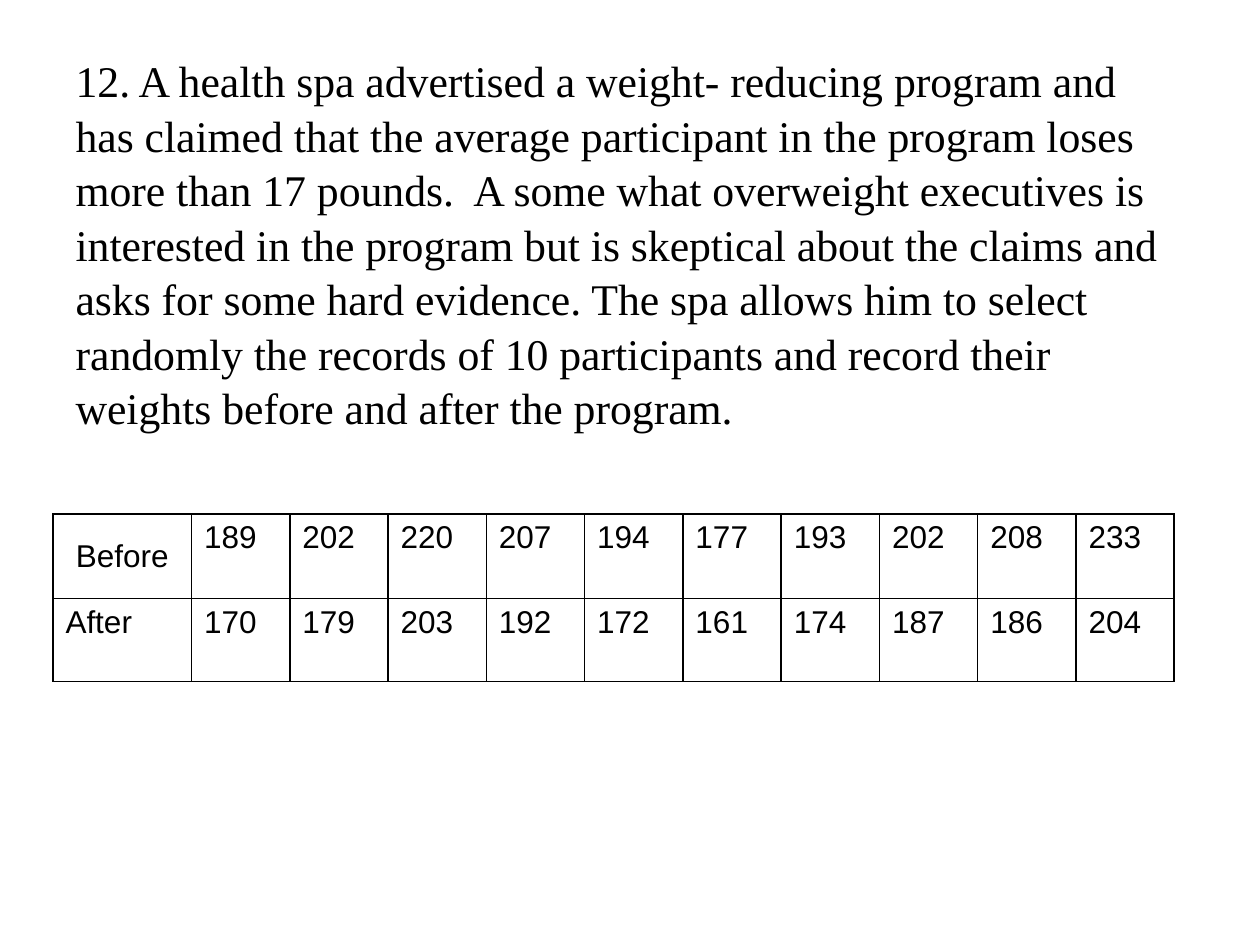
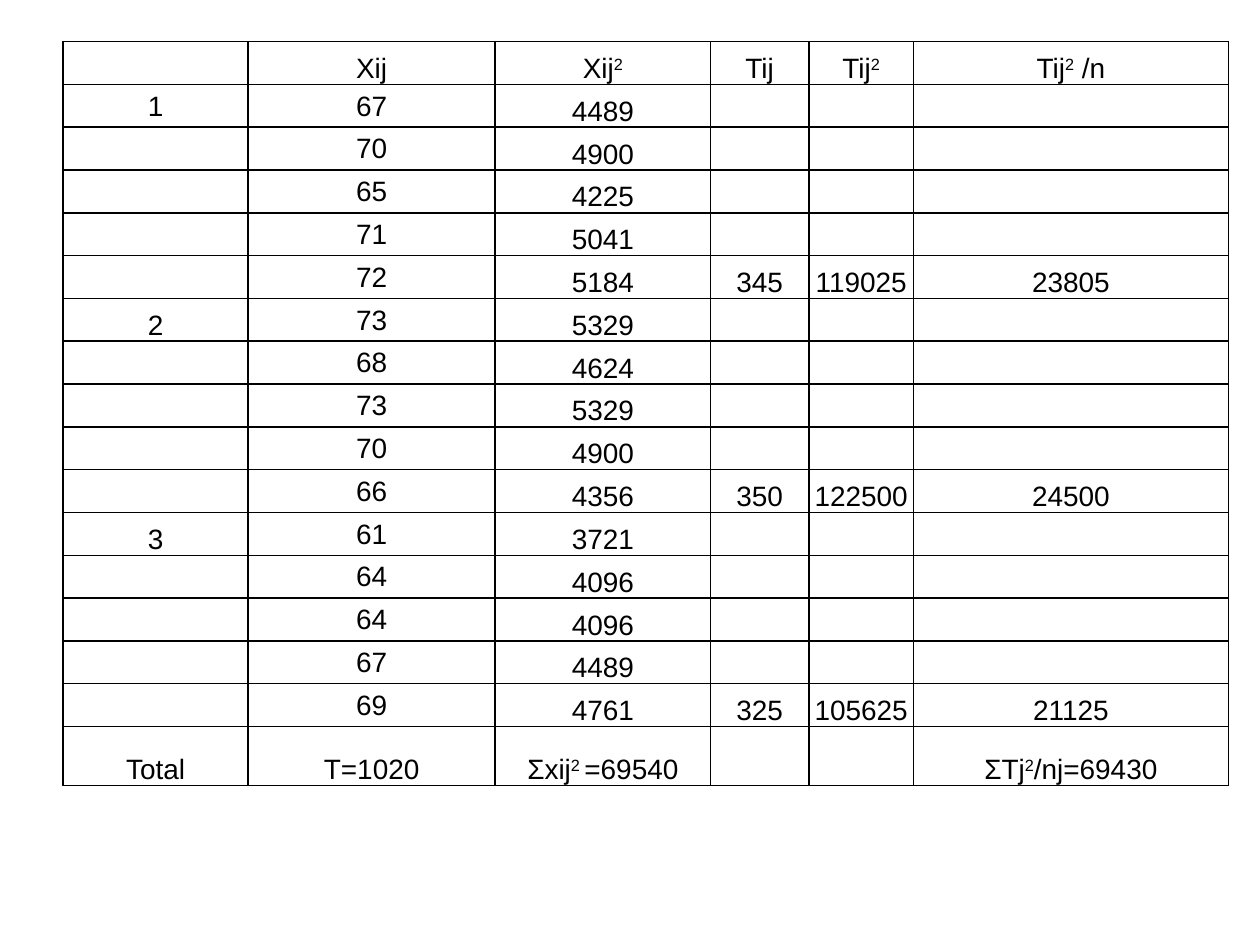
import pptx
import pptx.dml.color
import pptx.enum.text
import pptx.util
from lxml import etree
from pptx.oxml.ns import qn

Inches = pptx.util.Inches
Pt = pptx.util.Pt
ANCHOR = pptx.enum.text.MSO_ANCHOR
ALIGN = pptx.enum.text.PP_ALIGN

# Shared look
BLACK = "000000"
TABLE_FONT = "Arial"
BODY_FONT = "Times New Roman"
BORDER_WIDTH = 1

QUESTION = (
    "12. A health spa advertised a weight- reducing program and has claimed "
    "that the average participant in the program loses more than 17 pounds.  "
    "A some what overweight executives is interested in the program but is "
    "skeptical about the claims and asks for some hard evidence. The spa "
    "allows him to select randomly the records of 10 participants and record "
    "their weights before and after the program."
)
WEIGHTS = [
    ["Before", 189, 202, 220, 207, 194, 177, 193, 202, 208, 233],
    ["After", 170, 179, 203, 192, 172, 161, 174, 187, 186, 204],
]
SAMPLES = [
    [67, 70, 65, 71, 72],
    [73, 68, 73, 70, 66],
    [61, 64, 64, 67, 69],
]


def color(value):
    return pptx.dml.color.RGBColor.from_string(value)


def style_font(font, name, size):
    font.name = name
    font.size = Pt(size)
    font.color.rgb = color(BLACK)


def add_spans(para, text, name, size):
    """Add text run by run; parts between ^ marks are raised."""
    for index, part in enumerate(text.split("^")):
        if not part:
            continue
        span = para.add_run()
        span.text = part
        style_font(span.font, name, size)
        if index % 2:
            span.font._element.set("baseline", "30000")


def add_borders(cell):
    properties = cell._tc.get_or_add_tcPr()
    for index, side in enumerate(("lnL", "lnR", "lnT", "lnB")):
        line = etree.Element(qn(f"a:{side}"), w=str(Pt(BORDER_WIDTH)))
        fill = etree.SubElement(line, qn("a:solidFill"))
        etree.SubElement(fill, qn("a:srgbClr"), val=BLACK)
        properties.insert(index, line)


def add_grid(page, left, top, widths, heights, rows, size, margins, place):
    """Draw a bordered table; place(row, column) gives anchor and alignment."""
    frame = page.shapes.add_table(
        len(heights), len(widths), Inches(left), Inches(top),
        Inches(sum(widths)), Inches(sum(heights)))
    table = frame.table
    table.first_row = table.horz_banding = False
    for column, width in zip(table.columns, widths):
        column.width = Inches(width)
    for line, height in zip(table.rows, heights):
        line.height = Inches(height)
    for row, values in enumerate(rows):
        for column, value in enumerate(values):
            cell = table.cell(row, column)
            cell.fill.background()
            add_borders(cell)
            (cell.margin_left, cell.margin_top,
             cell.margin_right, cell.margin_bottom) = map(Inches, margins)
            para = cell.text_frame.paragraphs[0]
            cell.vertical_anchor, para.alignment = place(row, column)
            style_font(para.font, TABLE_FONT, size)
            add_spans(para, str(value), TABLE_FONT, size)


def add_body(page, text, left, top, width, height):
    page.shapes.title._element.getparent().remove(page.shapes.title._element)
    box = page.placeholders[1]
    box.left, box.top = Inches(left), Inches(top)
    box.width, box.height = Inches(width), Inches(height)
    box.text_frame.margin_top = Inches(0.08)
    para = box.text_frame.paragraphs[0]
    properties = para._p.get_or_add_pPr()
    properties.set("marL", "0")
    properties.set("indent", "0")
    etree.SubElement(properties, qn("a:buNone"))
    para.space_before = Pt(0)
    para.line_spacing = 1.04
    add_spans(para, text, BODY_FONT, 25)


def variance_rows():
    """Squares for every value, and totals on the last line of each sample."""
    rows = [["", "Xij", "Xij^2", "Tij", "Tij^2", "Tij^2^ /n"]]
    for number, sample in enumerate(SAMPLES, 1):
        for index, value in enumerate(sample):
            rows.append([number if index == 0 else "", value, value ** 2, "", "", ""])
        total = sum(sample)
        rows[-1][3:] = [total, total ** 2, total ** 2 // len(sample)]
    grand_total = sum(map(sum, SAMPLES))
    squares = sum(value ** 2 for sample in SAMPLES for value in sample)
    between = sum(sum(sample) ** 2 // len(sample) for sample in SAMPLES)
    rows.append(["Total", f"T={grand_total}", f"Σxij^2 ^={squares}", "", "",
                 f"ΣTj^2^/nj={between}"])
    return rows


def place_weight(row, column):
    if (row, column) == (0, 0):
        return ANCHOR.MIDDLE, ALIGN.CENTER
    return ANCHOR.TOP, ALIGN.LEFT


def place_variance(row, column):
    last = 1 + sum(map(len, SAMPLES))
    middle = (column == 1 and 0 < row < last) or (row, column) == (1, 0)
    return (ANCHOR.MIDDLE if middle else ANCHOR.BOTTOM), ALIGN.CENTER


def main():
    deck = pptx.Presentation()
    deck.slide_width, deck.slide_height = Inches(10), Inches(7.5)

    # Question with the weights before and after
    page = deck.slides.add_slide(deck.slide_layouts[1])
    add_body(page, QUESTION, 0.5, 0.33, 9, 6.37)
    add_grid(page, 0.42, 4.08, [1.1] + [0.78] * 10, [0.67, 0.66], WEIGHTS,
             18, (0.1, 0.05, 0.1, 0.05), place_weight)

    # Sums of squares for the three samples
    page = deck.slides.add_slide(deck.slide_layouts[6])
    add_grid(page, 0.5, 0.33, [1.47, 1.96, 1.71, 0.78, 0.83, 2.5],
             [0.34] * 16 + [0.47], variance_rows(),
             16, (0.01, 0.01, 0.01, 0), place_variance)

    deck.save("out.pptx")


if __name__ == "__main__":
    main()
